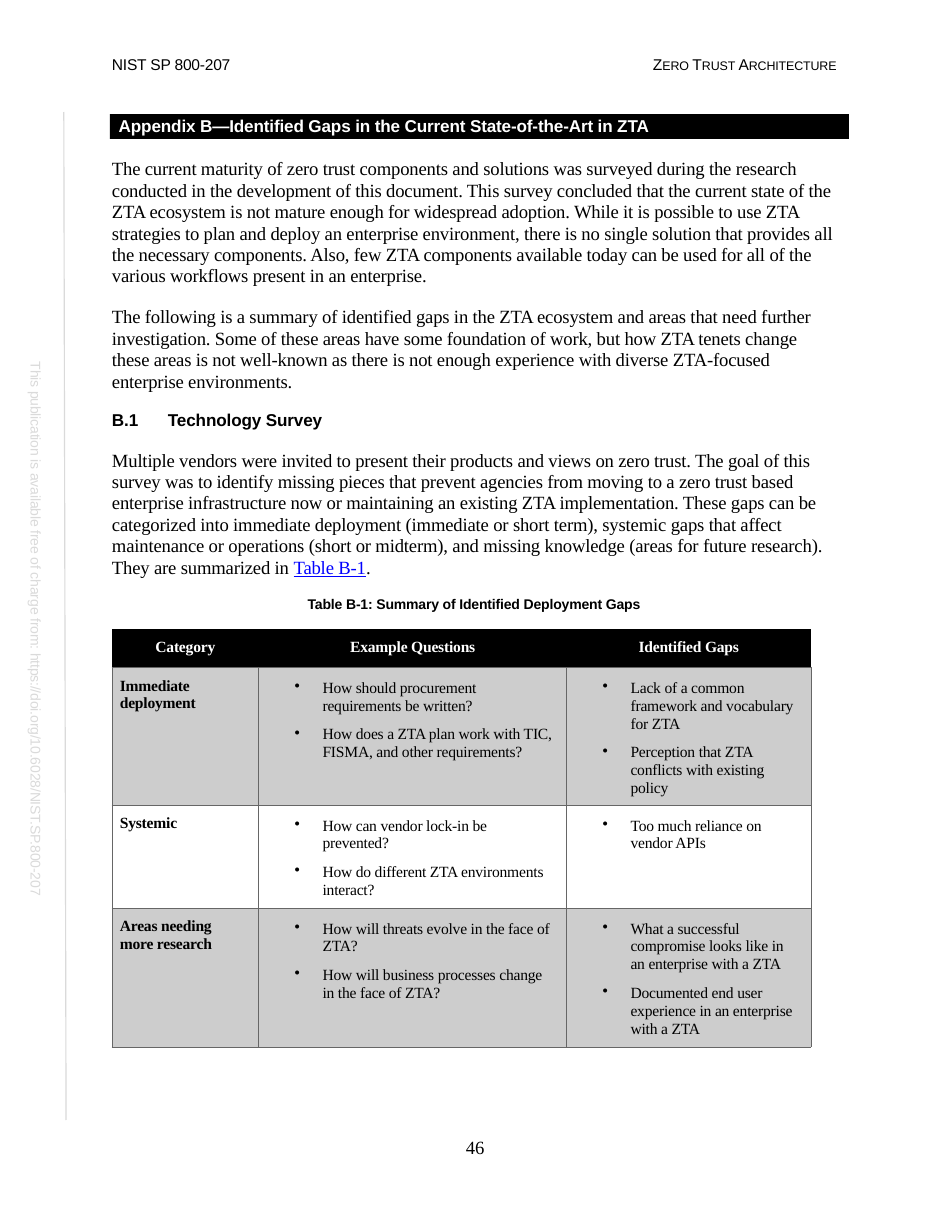
from lxml import etree
from pptx import Presentation
from pptx import util as u
from pptx.dml.color import RGBColor
from pptx.enum import text
from pptx.oxml import ns

COLORS = {"ink": "000000", "paper": "FFFFFF", "faint": "DADADA",
          "band": "CDCDCD", "rule": "666666", "link": "0000FF"}
SANS, SERIF = "Arial", "Times New Roman"
LEFT, CENTER = text.PP_ALIGN.LEFT, text.PP_ALIGN.CENTER


def rgb(name):
    return RGBColor.from_string(COLORS[name])


def child(parent, tag, **attributes):
    return etree.SubElement(parent, ns.qn(tag), attributes)


def write(paragraph, words, size=12, font=SERIF, color="ink", bold=False,
          underline=False, align=LEFT, before=0, lead=None, indent=0,
          bullet=None, tab=None):
    """Append words to a paragraph and set its format."""
    run = paragraph.add_run()
    run.text = words
    run.font.size, run.font.name = u.Pt(size), font
    run.font.bold, run.font.underline = bold, underline
    run.font.color.rgb = rgb(color)
    run.font._element.set("spc", "-10")
    paragraph.alignment = align
    paragraph.space_before = u.Pt(before)
    if lead:
        paragraph.line_spacing = u.Pt(lead)
    props = paragraph._p.get_or_add_pPr()
    props.set("marL", str(u.Inches(indent)))
    props.set("indent", str(u.Inches(-0.25 if bullet else 0)))
    if bullet:
        child(props, "a:buChar", char=bullet)
    if tab:
        child(child(props, "a:tabLst"), "a:tab", pos=str(u.Inches(tab)), algn="l")


class Page:
    """A letter page on a grid of 85 columns by 110 rows."""

    def __init__(self):
        self.deck = Presentation()
        self.deck.slide_width, self.deck.slide_height = u.Inches(8.5), u.Inches(11)
        self.unit = self.deck.slide_width / 85
        self.slide = self.deck.slides.add_slide(self.deck.slide_layouts[5])

    def grid(self, *lengths):
        return [round(length * self.unit) for length in lengths]

    def frame(self, shape, top=0.01, right=0):
        frame = shape.text_frame
        frame.word_wrap, frame.auto_size = True, text.MSO_AUTO_SIZE.NONE
        frame.vertical_anchor = text.MSO_ANCHOR.TOP
        frame.margin_left = frame.margin_bottom = 0
        frame.margin_top, frame.margin_right = u.Inches(top), u.Inches(right)
        return frame

    def title(self, words, box, **style):
        bar = self.slide.shapes.title
        bar.left, bar.top, bar.width, bar.height = self.grid(*box)
        bar.fill.solid()
        bar.fill.fore_color.rgb = rgb("ink")
        write(self.frame(bar).paragraphs[0], words, **style)

    def box(self, box, top=0.01, right=0):
        return self.frame(self.slide.shapes.add_textbox(*self.grid(*box)), top, right)

    def label(self, words, box, vertical=False, **style):
        frame = self.box(box, 0 if vertical else 0.01)
        if vertical:
            frame._txBody.bodyPr.set("vert", "vert")
        write(frame.paragraphs[0], words, **style)
        return frame.paragraphs[0]

    def line(self, ends, color, width):
        rule = self.slide.shapes.add_connector(1, *self.grid(*ends))
        rule.line.color.rgb, rule.line.width = rgb(color), u.Pt(width)
        child(rule._element.spPr, "a:effectLst")

    def table(self, at, columns, rows):
        box = self.grid(*at, sum(columns), sum(rows))
        table = self.slide.shapes.add_table(len(rows), len(columns), *box).table
        table.first_row = table.horz_banding = False
        for column, width in zip(table.columns, self.grid(*columns)):
            column.width = width
        for row, height in zip(table.rows, self.grid(*rows)):
            row.height = height
        return table

    def cell(self, cell, items, fill=None, border=None, top=0.08, right=0, **style):
        cell.margin_left = cell.margin_bottom = 0
        cell.margin_top, cell.margin_right = u.Inches(top), u.Inches(right)
        props = cell._tc.get_or_add_tcPr()
        for side in ("a:lnL", "a:lnR", "a:lnT", "a:lnB"):
            edge = child(props, side, w=str(u.Pt(0.5)))
            if border:
                child(child(edge, "a:solidFill"), "a:srgbClr", val=COLORS[border])
            else:
                child(edge, "a:noFill")
        if fill:
            cell.fill.solid()
            cell.fill.fore_color.rgb = rgb(fill)
        else:
            cell.fill.background()
        for i, item in enumerate(items):
            frame = cell.text_frame
            write(frame.add_paragraph() if i else frame.paragraphs[0], item, **style)


SURVEY = [
    "The current maturity of zero trust components and solutions was surveyed during the research conducted in the development of this document. This survey concluded that the current state of the ZTA ecosystem is not mature enough for widespread adoption. While it is possible to use ZTA strategies to plan and deploy an enterprise environment, there is no single solution that provides all the necessary components. Also, few ZTA components available today can be used for all of the various workflows present in an enterprise.",
    "The following is a summary of identified gaps in the ZTA ecosystem and areas that need further investigation. Some of these areas have some foundation of work, but how ZTA tenets change these areas is not well-known as there is not enough experience with diverse ZTA-focused enterprise environments.",
]
VENDORS = "Multiple vendors were invited to present their products and views on zero trust. The goal of this survey was to identify missing pieces that prevent agencies from moving to a zero trust based enterprise infrastructure now or maintaining an existing ZTA implementation. These gaps can be categorized into immediate deployment (immediate or short term), systemic gaps that affect maintenance or operations (short or midterm), and missing knowledge (areas for future research). They are summarized in "
HEADINGS = ["Category", "Example Questions", "Identified Gaps"]
GAPS = [
    ("Immediate deployment",
     ["How should procurement requirements be written?",
      "How does a ZTA plan work with TIC, FISMA, and other requirements?"],
     ["Lack of a common framework and vocabulary for ZTA",
      "Perception that ZTA conflicts with existing policy"]),
    ("Systemic",
     ["How can vendor lock-in be prevented?",
      "How do different ZTA environments interact?"],
     ["Too much reliance on vendor APIs"]),
    ("Areas needing more research",
     ["How will threats evolve in the face of ZTA?",
      "How will business processes change in the face of ZTA?"],
     ["What a successful compromise looks like in an enterprise with a ZTA",
      "Documented end user experience in an enterprise with a ZTA"]),
]


def main():
    page = Page()

    # Running header, with small capitals
    page.label("NIST SP 800-207", (9.9, 4.8, 12, 2), size=10, font=SANS,
               before=1, indent=0.01)
    running = page.label("Z", (58.2, 4.8, 17.5, 2), size=10, font=SANS)
    for words, size in [("ERO ", 8), ("T", 10), ("RUST ", 8), ("A", 10),
                        ("RCHITECTURE", 8)]:
        write(running, words, size=size, font=SANS, before=1, indent=0.01)

    # Margin notice and rule
    page.label("This publication is available free of charge from: "
               "https://doi.org/10.6028/NIST.SP.800-207",
               (2.3, 32.2, 1.7, 49.7), vertical=True, size=9, font=SANS,
               color="faint", indent=0.01)
    page.line((5.7, 10, 5.9, 100), "faint", 0.75)

    # Appendix heading
    page.title("Appendix B—Identified Gaps in the Current State-of-the-Art in ZTA",
               (9.8, 10.2, 66, 2.2), size=11, font=SANS, color="paper",
               bold=True, before=0.8, indent=0.08)

    # Body text
    body = page.box((9.9, 13.8, 65.3, 40.9), top=0.03, right=0.05)
    prose = {"lead": 13.8, "indent": 0.01}
    write(body.paragraphs[0], SURVEY[0], before=1.9, **prose)
    write(body.add_paragraph(), SURVEY[1], before=12.5, **prose)
    write(body.add_paragraph(), "B.1\tTechnology Survey", size=11, font=SANS,
          bold=True, before=11.2, indent=0.01, tab=0.91)
    vendors = body.add_paragraph()
    write(vendors, VENDORS)
    write(vendors, "Table B-1", color="link", underline=True)
    write(vendors, ".", before=12.4, **prose)
    write(body.add_paragraph(), "Table B-1: Summary of Identified Deployment Gaps",
          size=9, font=SANS, bold=True, align=CENTER, before=11.2)

    # Table of gaps
    table = page.table((10, 56.2), (13.1, 27.5, 21.8), (3.4, 12.3, 9.2, 12.4))
    for column, heading in enumerate(HEADINGS):
        page.cell(table.cell(0, column), [heading], fill="ink", size=10,
                  color="paper", bold=True, align=CENTER)
    for row, (category, questions, gaps) in enumerate(GAPS, 1):
        look = {"fill": "band" if row % 2 else None, "border": "rule",
                "size": 10, "lead": 11.5}
        page.cell(table.cell(row, 0), [category], right=0.2, bold=True,
                  before=6.2, indent=0.07, **look)
        for column, items, right in [(1, questions, 0.1), (2, gaps, 0.11)]:
            page.cell(table.cell(row, column), items, top=0.1, right=right,
                      before=6.8, indent=0.57, bullet="•", **look)

    # Page number
    page.label("46", (41.2, 101.4, 2.5, 2.1), lead=14.1, indent=0.04)
    page.deck.save("out.pptx")


if __name__ == "__main__":
    main()
